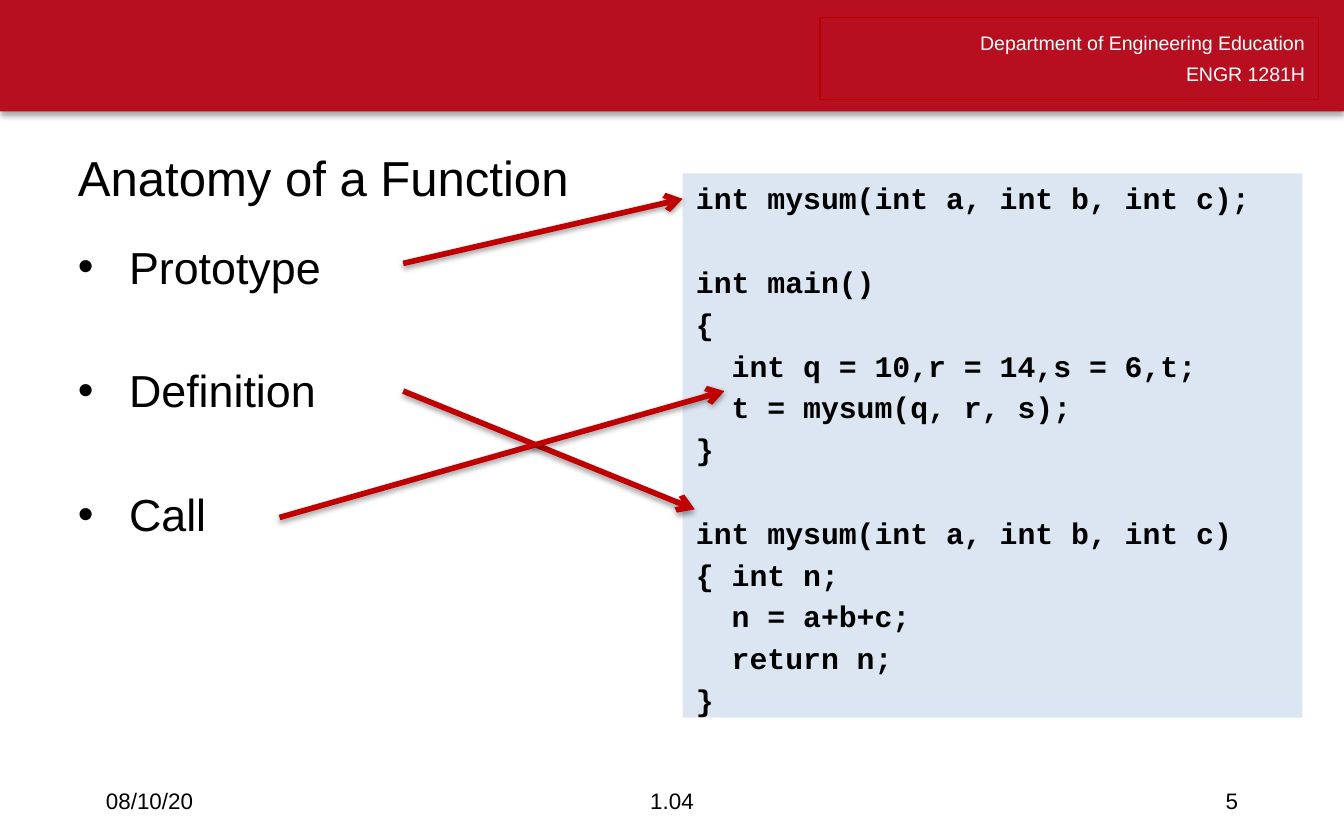
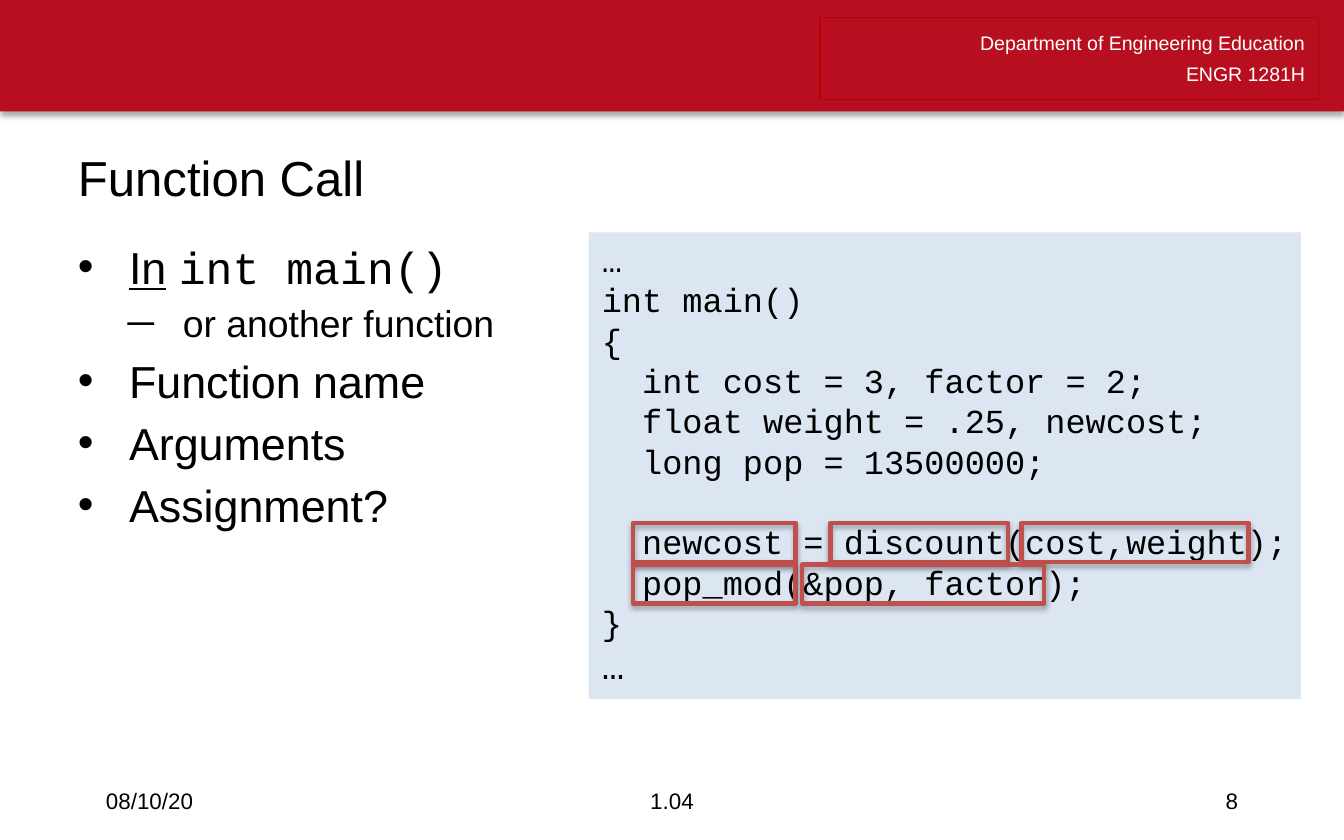
from dataclasses import dataclass

from lxml.etree import SubElement
from pptx import Presentation
from pptx.dml.color import RGBColor
from pptx.enum.shapes import MSO_CONNECTOR, MSO_SHAPE
from pptx.enum.text import MSO_ANCHOR, MSO_AUTO_SIZE, PP_ALIGN
from pptx.oxml.ns import qn
from pptx.util import Pt

PX = 9144  # EMU per px, 100 px to the inch
SLIDE_SIZE = (1000, 625)


@dataclass(frozen=True)
class Theme:
    sans: str = "Arial"
    mono: str = "Courier New"
    black: str = "000000"
    white: str = "FFFFFF"
    band: str = "B70F20"
    header_line: str = "BB0000"
    code_fill: str = "DCE6F2"
    arrow: str = "C00000"
    highlight: str = "C0504D"
    title_size: float = 26.3
    header_size: float = 10.5
    header_leading: float = 16.4
    footer_size: float = 12
    leading: float = 1.2


THEME = Theme()

# Per list level: type size, space before, text indent in px, hanging in px, bullet
LEVELS = [(24, 4.4, 38, 38, "•"), (20, 3.9, 78, 41, "─")]

HEADER = ["Department of Engineering Education", "ENGR 1281H"]
DATE, LESSON = "08/10/20", "1.04"

BAND_BOX = (0, 0, 1000, 83)
HEADER_BOX = (610, 13, 371, 61)
TITLE_BOX = (48, 96, 907, 71)
BODY_BOX = (48, 173, 900, 407)
FOOTER_TOP, FOOTER_HEIGHT = 579, 33

SLIDES = [
    {
        "title": "Anatomy of a Function",
        "number": "5",
        "blank_lines": 1,
        "items": [
            (0, [("Prototype", "plain")]),
            (0, [("Definition", "plain")]),
            (0, [("Call", "plain")]),
        ],
        "code_box": (508, 129, 461, 405),
        "code": [
            "int mysum(int a, int b, int c);",
            "",
            "int main()",
            "{",
            "  int q = 10,r = 14,s = 6,t;",
            "  t = mysum(q, r, s);",
            "}",
            "",
            "int mysum(int a, int b, int c)",
            "{ int n;",
            "  n = a+b+c;",
            "  return n;",
            "}",
        ],
        "code_style": {"size": 16, "bold": True, "space": 3.2},
        "arrows": [
            (300, 196, 508, 148),
            (300, 291, 517, 379),
            (208, 385, 539, 291),
        ],
        "highlights": [],
    },
    {
        "title": "Function Call",
        "number": "8",
        "blank_lines": 0,
        "items": [
            (0, [("In", "underline"), (" ", "plain"), ("int main()", "code")]),
            (1, [("or another function", "plain")]),
            (0, [("Function name", "plain")]),
            (0, [("Arguments", "plain")]),
            (0, [("Assignment?", "plain")]),
        ],
        "code_box": (438, 173, 530, 347),
        "code": [
            "…",
            "int main()",
            "{",
            "  int cost = 3, factor = 2;",
            "  float weight = .25, newcost;",
            "  long pop = 13500000;",
            "",
            "  newcost = discount(cost,weight);",
            "  pop_mod(&pop, factor);",
            "}",
            "…",
        ],
        "code_style": {"size": 18, "bold": False, "space": 0, "last_size": 20},
        "arrows": [],
        # Row top, then (left, width) of each marked part
        "highlights": [
            (389, [(471, 121), (618, 132), (760, 169)]),
            (420, [(471, 121), (597, 180)]),
        ],
    },
]
HIGHLIGHT_HEIGHT = 29


def emu(lengths):
    return [length * PX for length in lengths]


def rgb(color):
    return RGBColor.from_string(color)


def place(shape, box):
    shape.left, shape.top, shape.width, shape.height = emu(box)


def style_run(run, size, color=THEME.black, font=THEME.sans, bold=False, underline=False):
    run.font.size = Pt(size)
    run.font.name = font
    run.font.bold = bold
    run.font.underline = underline
    run.font.color.rgb = rgb(color)


def add_shadow(element, opacity, distance):
    """Give a shape or connector a soft shadow that falls straight down."""
    properties = element.spPr
    effects = properties.find(qn("a:effectLst"))
    if effects is None:
        effects = SubElement(properties, qn("a:effectLst"))
    shadow = SubElement(
        effects, qn("a:outerShdw"), blurRad=str(Pt(3.1)), dist=str(Pt(distance)),
        dir="5400000", rotWithShape="0")
    color = SubElement(shadow, qn("a:srgbClr"), val=THEME.black)
    SubElement(color, qn("a:alpha"), val=str(opacity * 1000))


def add_box(slide, box, fill=None, line=None, line_width=0.75):
    shape = slide.shapes.add_shape(MSO_SHAPE.RECTANGLE, *emu(box))
    shape.shadow.inherit = False
    if fill:
        shape.fill.solid()
        shape.fill.fore_color.rgb = rgb(fill)
    else:
        shape.fill.background()
    if line:
        shape.line.color.rgb = rgb(line)
        shape.line.width = Pt(line_width)
    else:
        shape.line.fill.background()
    return shape


def fill_paragraphs(text_frame, count):
    """Return count paragraphs, the first being the one already there."""
    return [text_frame.paragraphs[0]] + [text_frame.add_paragraph() for _ in range(count - 1)]


def add_header(slide):
    add_shadow(add_box(slide, BAND_BOX, fill=THEME.band)._element, 35, 1.8)
    text_frame = add_box(slide, HEADER_BOX, line=THEME.header_line).text_frame
    text_frame.word_wrap = True
    text_frame.vertical_anchor = MSO_ANCHOR.TOP
    for paragraph, line in zip(fill_paragraphs(text_frame, len(HEADER)), HEADER):
        paragraph.text = line
        paragraph.alignment = PP_ALIGN.RIGHT
        paragraph.line_spacing = Pt(THEME.header_leading)
        style_run(paragraph.runs[0], THEME.header_size, THEME.white)


def add_footer(slide, number):
    for left, width, text, alignment in [
        (69, 225, DATE, PP_ALIGN.LEFT),
        (331, 338, LESSON, PP_ALIGN.CENTER),
        (706, 225, number, PP_ALIGN.RIGHT),
    ]:
        box = emu((left, FOOTER_TOP, width, FOOTER_HEIGHT))
        text_frame = slide.shapes.add_textbox(*box).text_frame
        text_frame.word_wrap = True
        text_frame.vertical_anchor = MSO_ANCHOR.MIDDLE
        text_frame.text = text
        paragraph = text_frame.paragraphs[0]
        paragraph.alignment = alignment
        style_run(paragraph.runs[0], THEME.footer_size)


def set_title(slide, text):
    title = slide.shapes.title
    place(title, TITLE_BOX)
    text_frame = title.text_frame
    text_frame.auto_size = MSO_AUTO_SIZE.NONE
    text_frame.vertical_anchor = MSO_ANCHOR.MIDDLE
    text_frame.text = text
    text_frame.paragraphs[0].alignment = PP_ALIGN.LEFT
    style_run(text_frame.paragraphs[0].runs[0], THEME.title_size)


def set_spacing(paragraph, size, space, blank_lines, is_first):
    """Fix the line height and leave room for blank lines above."""
    leading = size * THEME.leading
    gap = space + blank_lines * (leading + space)
    paragraph.line_spacing = Pt(leading)
    paragraph.space_before = Pt(0 if is_first else gap)


def set_list(slide, items, blank_lines):
    body = slide.placeholders[1]
    place(body, BODY_BOX)
    body.line.color.rgb = rgb(THEME.white)
    body.line.width = Pt(0.75)
    text_frame = body.text_frame
    text_frame.auto_size = MSO_AUTO_SIZE.NONE
    paragraphs = fill_paragraphs(text_frame, len(items))
    for index, (paragraph, (level, runs)) in enumerate(zip(paragraphs, items)):
        size, space, indent, hanging, bullet = LEVELS[level]
        paragraph.level = level
        properties = paragraph._p.get_or_add_pPr()
        properties.set("marL", str(indent * PX))
        properties.set("indent", str(-hanging * PX))
        SubElement(properties, qn("a:buFont"), typeface=THEME.sans)
        SubElement(properties, qn("a:buChar"), char=bullet)
        set_spacing(paragraph, size, space, blank_lines, index == 0)
        for text, kind in runs:
            run = paragraph.add_run()
            run.text = text
            font = THEME.mono if kind == "code" else THEME.sans
            style_run(run, size, font=font, underline=kind == "underline")


def add_code(slide, box, code, size, bold, space, last_size=None):
    text_frame = add_box(slide, box, fill=THEME.code_fill).text_frame
    text_frame.word_wrap = True
    text_frame.margin_right = 0
    text_frame.vertical_anchor = MSO_ANCHOR.TOP
    lines = [(text, index > 0 and not code[index - 1])
             for index, text in enumerate(code) if text]
    paragraphs = fill_paragraphs(text_frame, len(lines))
    for index, (paragraph, (text, after_blank)) in enumerate(zip(paragraphs, lines)):
        is_last = index == len(lines) - 1
        line_size = last_size if is_last and last_size else size
        paragraph.text = text
        paragraph.alignment = PP_ALIGN.LEFT
        set_spacing(paragraph, line_size, space, int(after_blank), index == 0)
        style_run(paragraph.runs[0], line_size, font=THEME.mono, bold=bold)


def add_arrow(slide, ends):
    arrow = slide.shapes.add_connector(MSO_CONNECTOR.STRAIGHT, *emu(ends))
    arrow.line.color.rgb = rgb(THEME.arrow)
    arrow.line.width = Pt(3)
    SubElement(arrow.line._get_or_add_ln(), qn("a:tailEnd"), type="arrow")
    add_shadow(arrow._element, 38, 1.6)


def build_slide(presentation, content):
    slide = presentation.slides.add_slide(presentation.slide_layouts[1])
    add_header(slide)
    set_title(slide, content["title"])
    set_list(slide, content["items"], content["blank_lines"])
    add_code(slide, content["code_box"], content["code"], **content["code_style"])
    for ends in content["arrows"]:
        add_arrow(slide, ends)
    for top, parts in content["highlights"]:
        for left, width in parts:
            box = (left, top, width, HIGHLIGHT_HEIGHT)
            highlight = add_box(slide, box, line=THEME.highlight, line_width=2.25)
            add_shadow(highlight._element, 35, 1.8)
    add_footer(slide, content["number"])


def main():
    presentation = Presentation()
    presentation.slide_width, presentation.slide_height = emu(SLIDE_SIZE)
    for content in SLIDES:
        build_slide(presentation, content)
    presentation.save("out.pptx")


if __name__ == "__main__":
    main()
